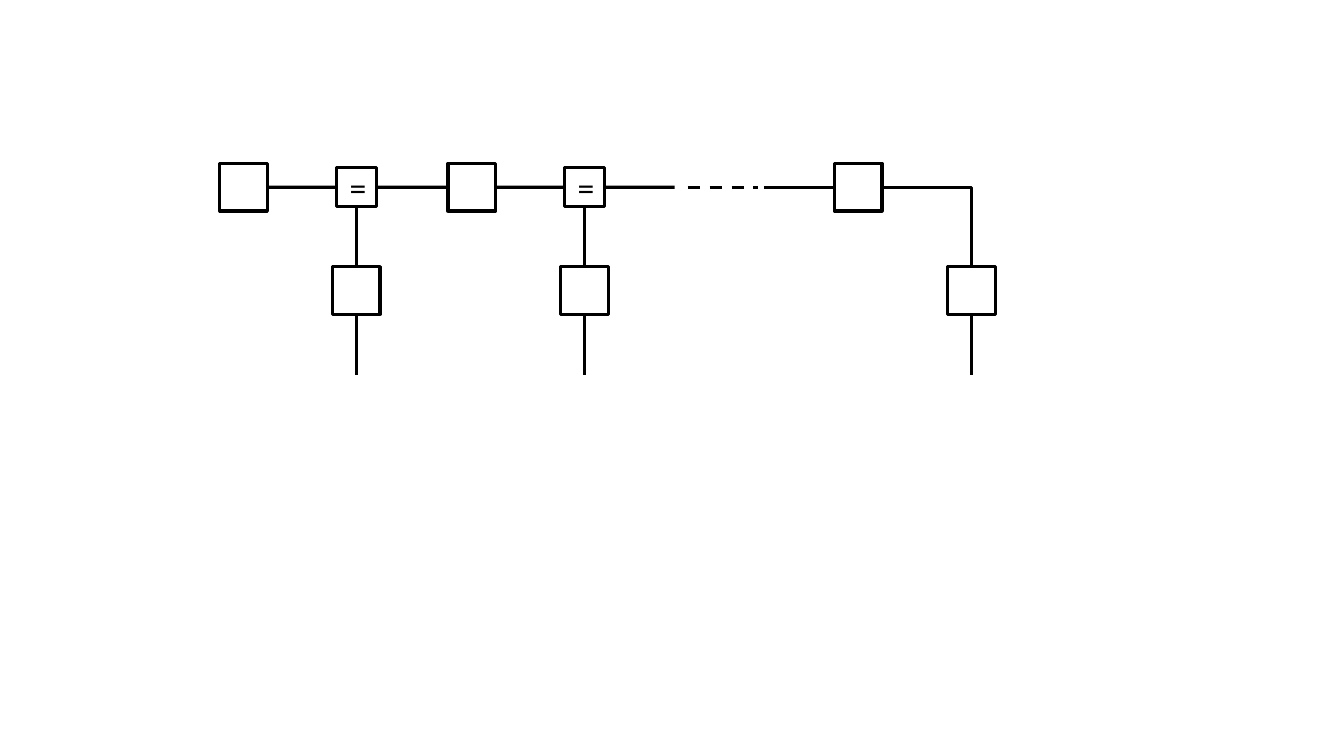
"""Build a slide with a chain of nodes, each with a branch below it."""
from dataclasses import dataclass
from typing import Optional

from pptx import Presentation
from pptx.dml.color import RGBColor
from pptx.enum.dml import MSO_LINE
from pptx.enum.shapes import MSO_CONNECTOR, MSO_SHAPE
from pptx.oxml.ns import qn
from pptx.oxml.xmlchemy import OxmlElement
from pptx.shapes.autoshape import Shape
from pptx.shapes.connector import Connector
from pptx.slide import Slide
from pptx.util import Cm, Pt

RECTANGLE = MSO_SHAPE.RECTANGLE
STRAIGHT, ELBOW = MSO_CONNECTOR.STRAIGHT, MSO_CONNECTOR.ELBOW
DASH = MSO_LINE.DASH
TOP, LEFT, BOTTOM, RIGHT = range(4)


@dataclass(frozen=True)
class Theme:
    ink: RGBColor = RGBColor(0, 0, 0)
    paper: RGBColor = RGBColor(255, 255, 255)
    font: str = "Calibri"
    sign_size: float = 24
    line_width: float = 2.25


@dataclass(frozen=True)
class Node:
    x: float
    y: float
    width: float = 1.2
    height: float = 1.2


@dataclass(frozen=True)
class Link:
    start: tuple[float, float]
    end: tuple[float, float]
    start_shape: Optional[Shape] = None
    start_side: int = RIGHT
    end_shape: Optional[Shape] = None
    end_side: int = LEFT


THEME = Theme()
CHAIN_Y, BRANCH_Y, TAIL_Y = 4.72, 7.32, 9.44
FIRST_STATE_X, FIRST_EQUAL_X, PITCH = 6.14, 8.98, 5.75
LAST_STATE_X, LAST_BRANCH_X = 21.63, 24.48
STUB_END_X, DASH_START_X, DASH_END_X, RESUME_X = 17.0, 17.33, 19.1, 19.25


def draw_node(slide: Slide, node: Node) -> Shape:
    shape = slide.shapes.add_shape(
        RECTANGLE, Cm(node.x - node.width / 2), Cm(node.y - node.height / 2),
        Cm(node.width), Cm(node.height))
    shape.shadow.inherit = False
    shape.fill.solid()
    shape.fill.fore_color.rgb = THEME.paper
    shape.line.color.rgb = THEME.ink
    shape.line.width = Pt(THEME.line_width)
    return shape


def draw_equal(slide: Slide, x: float) -> Shape:
    shape = draw_node(slide, Node(x, CHAIN_Y, 1.0, 0.98))
    sign = slide.shapes.add_textbox(Cm(x - 0.42), Cm(4.08), Cm(1.2), Cm(1.27))
    sign.text_frame.word_wrap = True
    sign.text_frame.text = "="
    font = sign.text_frame.paragraphs[0].runs[0].font
    font.name = THEME.font
    font.size = Pt(THEME.sign_size)
    font.color.rgb = THEME.ink
    return shape


def draw_link(slide: Slide, link: Link, kind: MSO_CONNECTOR = STRAIGHT) -> Connector:
    connector = slide.shapes.add_connector(
        kind, *(Cm(value) for value in link.start + link.end))
    if link.start_shape is not None:
        connector.begin_connect(link.start_shape, link.start_side)
    if link.end_shape is not None:
        connector.end_connect(link.end_shape, link.end_side)
    connector.line.color.rgb = THEME.ink
    connector.line.width = Pt(THEME.line_width)
    connector._element.spPr.append(OxmlElement("a:effectLst"))
    return connector


def draw_branch(slide: Slide, x: float) -> Shape:
    shape = draw_node(slide, Node(x, BRANCH_Y))
    draw_link(slide, Link((x, BRANCH_Y + 0.6), (x, TAIL_Y), shape, BOTTOM))
    return shape


def draw_chain(slide: Slide) -> None:
    states = [draw_node(slide, Node(x, CHAIN_Y))
              for x in (FIRST_STATE_X, FIRST_STATE_X + PITCH, LAST_STATE_X)]
    equals = []
    for x in (FIRST_EQUAL_X, FIRST_EQUAL_X + PITCH):
        equal = draw_equal(slide, x)
        branch = draw_branch(slide, x)
        draw_link(slide, Link((x, CHAIN_Y), (x, BRANCH_Y),
                              equal, BOTTOM, branch, TOP))
        equals.append(equal)

    middle = (FIRST_EQUAL_X, CHAIN_Y)
    for start, end in ((states[0], equals[0]), (equals[0], states[1]),
                       (states[1], equals[1])):
        draw_link(slide, Link(middle, middle, start, RIGHT, end, LEFT))

    stub_end = (STUB_END_X, CHAIN_Y)
    draw_link(slide, Link(middle, stub_end, equals[1], RIGHT))
    gap = draw_link(slide, Link((DASH_START_X, CHAIN_Y), (DASH_END_X, CHAIN_Y)))
    gap.line.dash_style = DASH
    draw_link(slide, Link((RESUME_X, CHAIN_Y), (LAST_STATE_X, CHAIN_Y),
                          end_shape=states[2]))

    draw_branch(slide, LAST_BRANCH_X)
    corner = draw_link(slide, Link((LAST_STATE_X + 0.6, CHAIN_Y),
                                   (LAST_BRANCH_X, BRANCH_Y - 0.6)), ELBOW)
    corner._element.spPr.find(qn("a:prstGeom")).set("prst", "bentConnector2")


def main() -> None:
    presentation = Presentation()
    presentation.slide_width = Cm(33.87)
    presentation.slide_height = Cm(19.05)
    slide = presentation.slides.add_slide(presentation.slide_layouts[6])
    draw_chain(slide)
    presentation.save("out.pptx")


if __name__ == "__main__":
    main()
